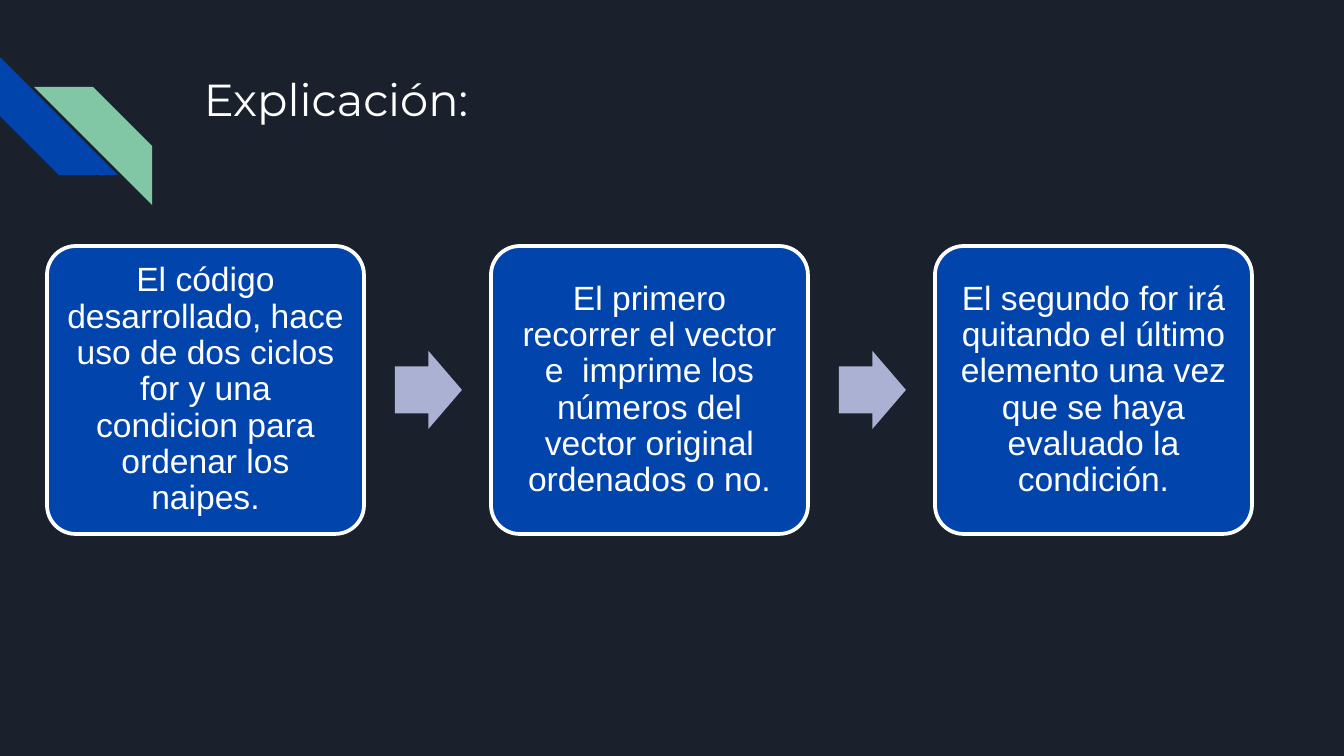
import pptx
import pptx.util
import pptx.dml.color
import pptx.enum.shapes
import pptx.enum.text

EMU_PER_PX = 914400 / 134.4
SHAPE = pptx.enum.shapes.MSO_SHAPE
ALIGN = pptx.enum.text.PP_ALIGN
ANCHOR = pptx.enum.text.MSO_ANCHOR

COLORS = {
    "background": "1B212C",
    "blue": "0145AC",
    "green": "82C7A5",
    "arrow": "ABB1D2",
    "white": "FFFFFF",
}

STEPS = [
    "El código desarrollado, hace uso de dos ciclos for y una condicion para ordenar los naipes.",
    "El primero recorrer el vector e  imprime los números del vector original ordenados o no.",
    "El segundo for irá quitando el último elemento una vez que se haya evaluado la condición.",
]

# Process row, in px
CARD_LEFT, CARD_TOP, CARD_WIDTH, CARD_HEIGHT = 47, 246, 317, 288
CARD_STEP = 444
ARROW_WIDTH, ARROW_HEIGHT = 67, 78
ARROW_OFFSET = 348


def px(length):
    return pptx.util.Emu(round(length * EMU_PER_PX))


def color(name):
    return pptx.dml.color.RGBColor.from_string(COLORS[name])


def add_filled_shape(slide, kind, box, fill, adjustments):
    shape = slide.shapes.add_shape(kind, *map(px, box))
    shape.shadow.inherit = False
    shape.fill.solid()
    shape.fill.fore_color.rgb = color(fill)
    shape.line.fill.background()
    for index, value in enumerate(adjustments):
        shape.adjustments[index] = value
    return shape


def write_text(shape, text, font, size, inset, anchor, align, line_spacing=1.0):
    frame = shape.text_frame
    frame.word_wrap = True
    frame.vertical_anchor = anchor
    frame.margin_left = frame.margin_right = px(inset)
    frame.margin_top = frame.margin_bottom = px(inset)
    paragraph = frame.paragraphs[0]
    paragraph.alignment = align
    paragraph.line_spacing = line_spacing
    run = paragraph.add_run()
    run.text = text
    run.font.name = font
    run.font.size = pptx.util.Pt(size)
    run.font.color.rgb = color("white")


def add_stripe(slide, left, top, fill, rotation):
    stripe = add_filled_shape(slide, SHAPE.DIAGONAL_STRIPE, (left, top, 118, 118), fill, [0.5])
    stripe.rotation = rotation


def add_title(slide, text):
    title = slide.shapes.add_textbox(*map(px, (191, 59, 1035, 134)))
    write_text(title, text, "Montserrat", 24, 13, ANCHOR.TOP, ALIGN.LEFT)


def add_card(slide, left, text):
    box = (left, CARD_TOP, CARD_WIDTH, CARD_HEIGHT)
    card = add_filled_shape(slide, SHAPE.ROUNDED_RECTANGLE, box, "blue", [0.1])
    card.line.color.rgb = color("white")
    card.line.width = pptx.util.Pt(2)
    write_text(card, text, "Arial", 18, 11, ANCHOR.MIDDLE, ALIGN.CENTER, 0.9)


def add_arrow(slide, left):
    top = CARD_TOP + (CARD_HEIGHT - ARROW_HEIGHT) // 2
    box = (left, top, ARROW_WIDTH, ARROW_HEIGHT)
    add_filled_shape(slide, SHAPE.RIGHT_ARROW, box, "arrow", [0.6, 0.5])


def main():
    presentation = pptx.Presentation()
    presentation.slide_width = px(1344)
    presentation.slide_height = px(756)
    slide = presentation.slides.add_slide(presentation.slide_layouts[6])
    slide.background.fill.solid()
    slide.background.fill.fore_color.rgb = color("background")

    # Corner decoration
    add_stripe(slide, 0, 57, "blue", 270)
    add_stripe(slide, 34, 87, "green", 90)

    add_title(slide, "Explicación:")

    # Cards with an arrow between neighbours
    for index, text in enumerate(STEPS):
        left = CARD_LEFT + index * CARD_STEP
        add_card(slide, left, text)
        if index < len(STEPS) - 1:
            add_arrow(slide, left + ARROW_OFFSET)

    presentation.save("out.pptx")


if __name__ == "__main__":
    main()
